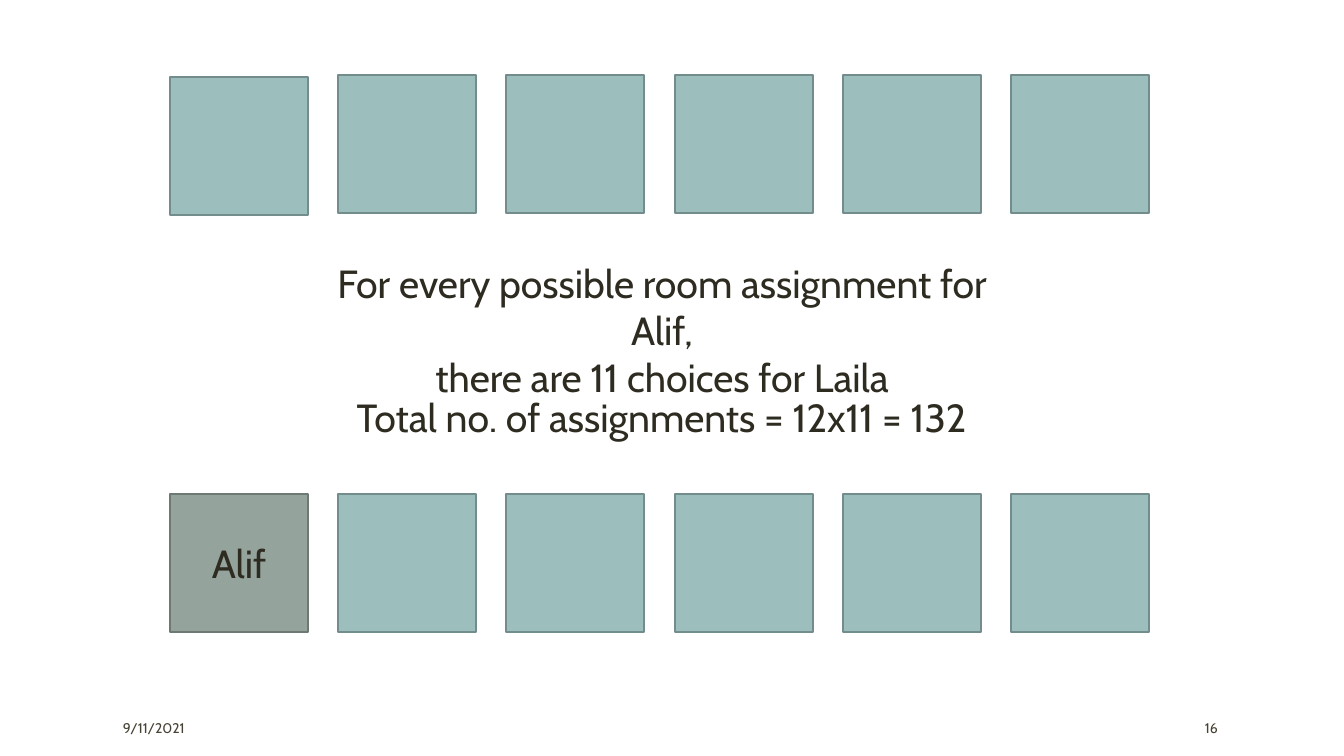
import dataclasses

import pptx
import pptx.dml.color
import pptx.enum.shapes
import pptx.enum.text
import pptx.util

EMU_PER_PX = 914400 / 100.8
FONT = "Cabin"
INK, FOOTER_INK = "2E2B21", "474233"
FREE, FREE_LINE = "9CBEBD", "738D8C"
TAKEN, TAKEN_LINE = "95A39D", "6E7974"
COLUMNS, ROOM_SIDE, ROOM_LEFT, ROOM_PITCH = 6, 138, 170, 168.2
TOP_ROW, BOTTOM_ROW = 75, 494

ALIGN = pptx.enum.text.PP_ALIGN
ANCHOR = pptx.enum.text.MSO_ANCHOR


@dataclasses.dataclass(frozen=True)
class Room:
    left: int
    top: int
    fill: str = FREE
    line: str = FREE_LINE


@dataclasses.dataclass(frozen=True)
class Label:
    left: int
    top: int
    width: int
    height: int
    lines: tuple[str, ...]
    size: int = 28
    color: str = INK
    align: ALIGN = ALIGN.CENTER
    anchor: ANCHOR = ANCHOR.TOP


def px(n: int) -> pptx.util.Emu:
    return pptx.util.Emu(round(n * EMU_PER_PX))


def rgb(color: str) -> pptx.dml.color.RGBColor:
    return pptx.dml.color.RGBColor.from_string(color)


def room_left(column: int) -> int:
    return ROOM_LEFT + round(column * ROOM_PITCH)


def draw_room(s: pptx.slide.Slide, room: Room) -> None:
    sp = s.shapes.add_shape(
        pptx.enum.shapes.MSO_SHAPE.RECTANGLE,
        px(room.left), px(room.top), px(ROOM_SIDE), px(ROOM_SIDE),
    )
    sp.shadow.inherit = False
    sp.fill.solid()
    sp.fill.fore_color.rgb = rgb(room.fill)
    sp.line.color.rgb = rgb(room.line)
    sp.line.width = pptx.util.Pt(1.25)


def draw_label(s: pptx.slide.Slide, label: Label) -> None:
    sp = s.shapes.add_textbox(
        px(label.left), px(label.top), px(label.width), px(label.height)
    )
    tf = sp.text_frame
    tf.word_wrap = True
    tf.vertical_anchor = label.anchor
    tf.text = "\n".join(label.lines)
    for p in tf.paragraphs:
        p.alignment = label.align
        p.font.name = FONT
        p.font.size = pptx.util.Pt(label.size)
        p.font.color.rgb = rgb(label.color)


ROOMS = [
    Room(room_left(0), TOP_ROW + 2),
    *(Room(room_left(c), TOP_ROW) for c in range(1, COLUMNS)),
    Room(room_left(0), BOTTOM_ROW, TAKEN, TAKEN_LINE),
    *(Room(room_left(c), BOTTOM_ROW) for c in range(1, COLUMNS)),
]

LABELS = [
    Label(113, 713, 238, 30, ("9/11/2021",), 10, FOOTER_INK, ALIGN.LEFT, ANCHOR.MIDDLE),
    Label(1195, 713, 107, 30, ("16",), 10, FOOTER_INK, ALIGN.LEFT, ANCHOR.MIDDLE),
    Label(308, 254, 708, 105, (
        "For every possible room assignment for Alif,",
        "there are 11 choices for Laila",
    )),
    Label(ROOM_LEFT, 534, ROOM_SIDE, 57, ("Alif",)),
    Label(331, 388, 661, 57, ("Total no. of assignments = 12x11 = 132",)),
]


def main() -> None:
    """Build the room assignment slide and save it."""
    prs = pptx.Presentation()
    prs.slide_width, prs.slide_height = px(1344), px(756)
    s = prs.slides.add_slide(prs.slide_layouts[6])
    for room in ROOMS:
        draw_room(s, room)
    for label in LABELS:
        draw_label(s, label)
    prs.save("out.pptx")


if __name__ == "__main__":
    main()
